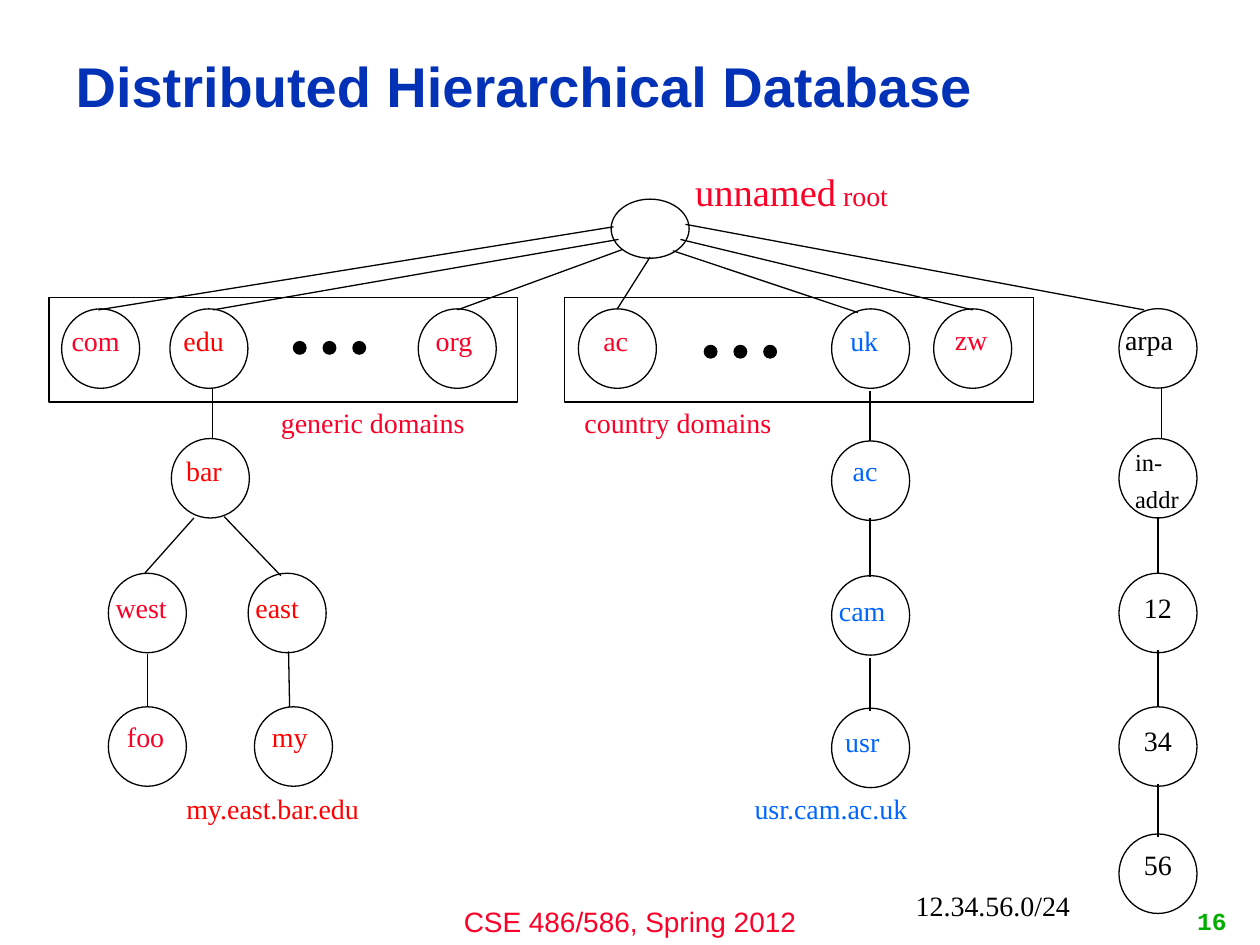
from pptx import Presentation
from pptx.dml.color import RGBColor
from pptx.enum.shapes import MSO_CONNECTOR, MSO_SHAPE
from pptx.enum.text import MSO_ANCHOR as ANCHOR, MSO_AUTO_SIZE, PP_ALIGN as ALIGN
from pptx.oxml.ns import qn
from pptx.util import Pt

BLACK = RGBColor(0x00, 0x00, 0x00)
NAVY = RGBColor(0x03, 0x32, 0xB7)
CRIMSON = RGBColor(0xFC, 0x01, 0x28)
RED = RGBColor(0xFF, 0x00, 0x00)
BLUE = RGBColor(0x00, 0x66, 0xFF)
GREEN = RGBColor(0x00, 0xAE, 0x00)
NODE_W, NODE_H = 44.6, 45.4
SERIF = "Times New Roman"


def format_run(r, color, size=16, name=SERIF, bold=False):
    """Apply font values to a run."""
    for key, value in {"size": Pt(size), "name": name, "bold": bold}.items():
        setattr(r.font, key, value)
    r.font.color.rgb = color


def text(s, x, y, w, h, lines, font, align=ALIGN.LEFT, anchor=ANCHOR.TOP, before=2, spacing=None):
    """Add a text box with one paragraph per line and return its frame."""
    tf = s.shapes.add_textbox(Pt(x), Pt(y), Pt(w), Pt(h)).text_frame
    for key, value in {"word_wrap": True, "vertical_anchor": anchor}.items():
        setattr(tf, key, value)
    for i, line in enumerate(lines):
        p = tf.add_paragraph() if i else tf.paragraphs[0]
        values = {"alignment": align, "space_before": Pt(8 if i else before), "line_spacing": spacing}
        for key, value in values.items():
            setattr(p, key, value)
        r = p.add_run()
        r.text = line
        format_run(r, **font)
    return tf


def label(s, x, y, w, words, color):
    """Add a one-line serif label."""
    return text(s, x, y, w, 31, [words], {"color": color})


def outline(s, kind, x, y, w, h, fill=None):
    """Add a thinly outlined shape, hollow unless a fill is given."""
    sp = s.shapes.add_shape(kind, Pt(x), Pt(y), Pt(w), Pt(h))
    sp.shadow.inherit = False
    sp.line.color.rgb = BLACK
    sp.line.width = Pt(0.75)
    if fill is None:
        sp.fill.background()
    else:
        sp.fill.solid()
        sp.fill.fore_color.rgb = fill


def links(s, x, y, ends):
    """Draw straight lines between pairs of points relative to x, y."""
    for x1, y1, x2, y2 in ends:
        line = s.shapes.add_connector(
            MSO_CONNECTOR.STRAIGHT, Pt(x + x1), Pt(y + y1), Pt(x + x2), Pt(y + y2))
        line.line.color.rgb = BLACK
        line.line.width = Pt(0.75)
        sp_pr = line._element.spPr
        sp_pr.append(sp_pr.makeelement(qn("a:effectLst"), {}))


def nodes(s, x, y, items):
    """Draw circles at x, y offsets, each with its label shifted by dx, dy."""
    for name, nx, ny, dx, dy, w, color in items:
        outline(s, MSO_SHAPE.OVAL, x + nx, y + ny, NODE_W, NODE_H)
        if name:
            label(s, x + nx + dx, y + ny + dy, w, name, color)


def domain_frame(s, x, y, dots_x, dots_y):
    """Draw the frame of a domain group with its three dots."""
    outline(s, MSO_SHAPE.RECTANGLE, x, y, 267.8, 59.8)
    for i in range(3):
        outline(s, MSO_SHAPE.OVAL, x + dots_x + 17 * i, y + dots_y, 7.2, 7.2, BLACK)


def root(s, x, y):
    """Draw the unnamed root and its links to the top-level domains."""
    outline(s, MSO_SHAPE.OVAL, x, y, NODE_W, 33.8)
    tf = text(s, x + 41, y - 21.6, 133, 34, ["unnamed"], {"color": CRIMSON, "size": 22})
    r = tf.paragraphs[0].add_run()
    r.text = " root"
    format_run(r, CRIMSON)
    links(s, x, y, [
        (1.4, 15.8, -293, 63.3), (4.3, 23, -227.5, 63.3), (6.5, 28.8, -87.8, 63.3),
        (22.3, 33.1, 3.6, 62.6), (42.5, 14.4, 304.6, 63.3), (39.6, 23, 206.6, 63.3),
        (35.3, 29.5, 141.1, 64.8)])


def generic_domains(s, x, y):
    """Draw the generic domains and the tree under edu."""
    domain_frame(s, x, y, 139.7, 25.2)
    nodes(s, x, y, [
        ("com", 7.2, 6.5, -1.4, 5, 49.7, CRIMSON),
        ("edu", 69.1, 6.5, 0.7, 5, 45.4, RED),
        ("org", 211, 6.5, 2.9, 5, 43.2, CRIMSON),
        ("bar", 69.9, 80.6, 1.4, 5, 44.6, RED),
        ("west", 33.9, 157.6, -2.9, 6.5, 52.6, CRIMSON),
        ("east", 113.8, 157.6, -2.9, 6.5, 47.5, RED),
        ("foo", 33.9, 233.9, 3.6, 3.6, 41, CRIMSON),
        ("my", 117.4, 233.9, 2.9, 3.6, 41, RED)])
    links(s, x, y, [
        (93.6, 51.8, 93.6, 80.6), (82.8, 126, 54.7, 157.6), (100.1, 125.2, 132.5, 159),
        (56.2, 203.7, 56.2, 234), (136.9, 202.2, 137.5, 234)])
    label(s, x + 125.4, y + 58.2, 146, "generic domains", CRIMSON)
    label(s, x + 71.4, y + 278.6, 150, "my.east.bar.edu", RED)


def country_domains(s, x, y):
    """Draw the country domains and the chain under uk."""
    domain_frame(s, x, y, 79.9, 27.4)
    nodes(s, x, y, [
        ("ac", 7.9, 6.5, 7.2, 5, 33, CRIMSON),
        ("uk", 152.6, 6.5, 3.6, 5, 36.7, BLUE),
        ("zw", 210.9, 6.5, 5, 4.3, 38, CRIMSON),
        ("ac", 152.6, 82, 5, 3.6, 33, BLUE),
        ("cam", 152.6, 159, -2.9, 6.5, 49.7, BLUE),
        ("usr", 152.6, 234.7, 0.7, 5.8, 42.5, BLUE)])
    links(s, x, y, [(174.5, top, 174.5, end) for top, end in
                    [(53.2, 82), (125.9, 159.8), (205.8, 236.1)]])
    label(s, x + 4.3, y + 58.2, 148, "country domains", CRIMSON)
    label(s, x + 101.5, y + 278.6, 134, "usr.cam.ac.uk", BLUE)


def reverse_domains(s, x, y):
    """Draw the arpa chain for reverse lookup."""
    nodes(s, x, y, [
        ("arpa", 0, 0, -3.6, 4.3, 54.7, BLACK),
        (None, 0, 74.2, 0, 0, 0, BLACK),
        ("12", 0, 151.2, 7.2, 6.5, 34.6, BLACK),
        ("34", 0, 227.5, 7.2, 5.8, 34.6, BLACK),
        ("56", 0, 300.2, 7.2, 4.3, 34.6, BLACK)])
    text(s, x + 2.2, y + 78.5, 43.2, 34, ["in-", "addr"],
         {"color": BLACK, "size": 14}, spacing=0.8)
    links(s, x, y, [(cx, top, cx, end) for cx, top, end in [
        (24.4, 44.6, 74.2), (22.3, 118.8, 151.2), (22.3, 195.1, 227.5), (22.3, 271.4, 301.7)]])
    label(s, x - 123.2, y + 327.6, 125, "12.34.56.0/24", BLACK)


def title(s, x, y, w, h):
    """Place and format the slide title."""
    sp = s.shapes.title
    for key, value in {"left": x, "top": y, "width": w, "height": h}.items():
        setattr(sp, key, Pt(value))
    tf = sp.text_frame
    for key, value in {"vertical_anchor": ANCHOR.MIDDLE, "auto_size": MSO_AUTO_SIZE.NONE}.items():
        setattr(tf, key, value)
    p = tf.paragraphs[0]
    p.alignment, p.line_spacing = ALIGN.LEFT, 0.9
    r = p.add_run()
    r.text = "Distributed Hierarchical Database"
    format_run(r, NAVY, 32, "Arial", True)


def footer(s, x, y, w):
    """Add the course line and the slide number across the foot."""
    text(s, x, y, w, 27, ["CSE 486/586, Spring 2012"],
         {"color": CRIMSON, "name": "Arial"}, ALIGN.CENTER)
    text(s, x + 300, y - 2, 168, 29, ["16"],
         {"color": GREEN, "size": 14, "name": "Courier New", "bold": True},
         ALIGN.RIGHT, ANCHOR.MIDDLE, before=0)


prs = Presentation()
prs.slide_width, prs.slide_height = Pt(720), Pt(540)
s = prs.slides.add_slide(prs.slide_layouts[5])
title(s, 36, 6, 648, 90)
root(s, 349.2, 113.8)
generic_domains(s, 28, 170)
country_domains(s, 322.6, 170)
reverse_domains(s, 639.4, 176.4)
footer(s, 240, 513.4, 240)
prs.save("out.pptx")
